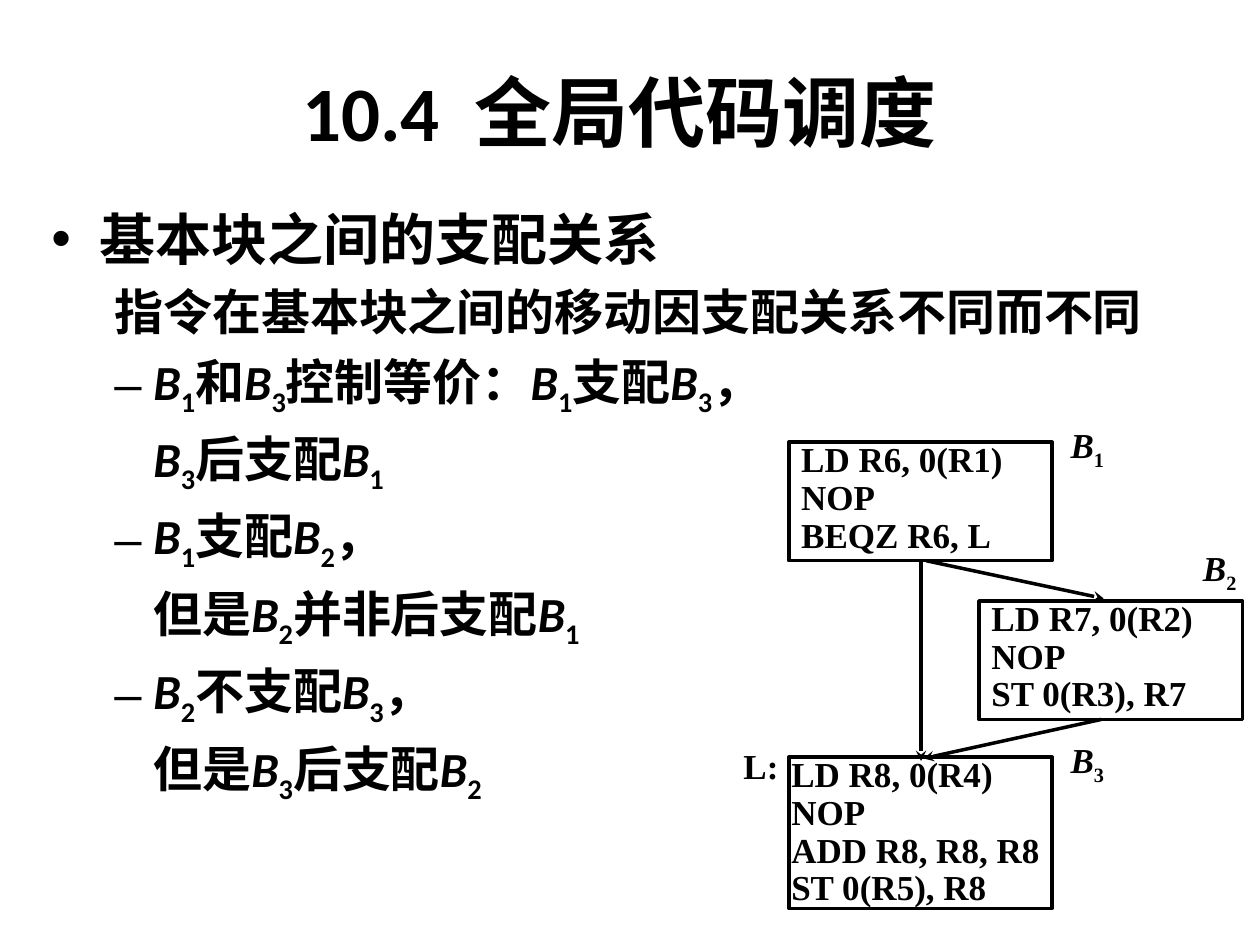
from lxml import etree
from pptx import Presentation
from pptx.dml.color import RGBColor
from pptx.enum.shapes import MSO_CONNECTOR, MSO_SHAPE
from pptx.enum.text import MSO_ANCHOR, PP_ALIGN
from pptx.oxml.ns import qn
from pptx.util import Inches, Pt

BLACK = RGBColor(0x00, 0x00, 0x00)
RECTANGLE = MSO_SHAPE.RECTANGLE
STRAIGHT = MSO_CONNECTOR.STRAIGHT
TOP, MIDDLE = MSO_ANCHOR.TOP, MSO_ANCHOR.MIDDLE
CENTER, JUSTIFY = PP_ALIGN.CENTER, PP_ALIGN.JUSTIFY
SANS, SERIF, CJK = "Calibri", "Times New Roman", "Noto Sans CJK SC"
CODE_SIZE = 20
BLOCK_WIDTH = 2.09


class SlideBuilder:
    """Holds the style and the current page."""

    def __init__(self, page):
        self.page = page

    def span(self, para, text, size, font=SANS, italic=False, subscript=False):
        span = para.add_run()
        span.text = text
        span.font.name = font
        span.font.size = Pt(size)
        span.font.bold = True
        span.font.italic = italic
        span.font.color.rgb = BLACK
        properties = span._r.get_or_add_rPr()
        etree.SubElement(properties, qn("a:ea")).set("typeface", font)
        if subscript:
            properties.set("baseline", "-25000")

    def block_text(self, para, text, size, font=SANS):
        """Write text in which each B is followed by its one-digit index."""
        start, *parts = text.split("B")
        if start:
            self.span(para, start, size, font)
        for part in parts:
            self.span(para, "B", size, font, italic=True)
            self.span(para, part[0], size, font, subscript=True)
            if part[1:]:
                self.span(para, part[1:], size, font)

    def frame(self, shape, insets=(0.1, 0.05, 0.1, 0.05), anchor=TOP):
        frame = shape.text_frame
        frame.word_wrap = True
        frame.vertical_anchor = anchor
        (frame.margin_left, frame.margin_top,
         frame.margin_right, frame.margin_bottom) = map(Inches, insets)
        return frame

    def text_box(self, left, top, width, height, **style):
        box = self.page.shapes.add_textbox(
            Inches(left), Inches(top), Inches(width), Inches(height))
        return self.frame(box, **style)

    def paragraph(self, frame, first, margin=0.0, hanging=0.0, bullet=None):
        para = frame.paragraphs[0] if first else frame.add_paragraph()
        para.alignment = JUSTIFY
        properties = para._p.get_or_add_pPr()
        properties.set("marL", str(Inches(margin)))
        properties.set("indent", str(-Inches(hanging)))
        if bullet:
            face = etree.SubElement(properties, qn("a:buFont"))
            face.set("typeface", "Arial")
            etree.SubElement(properties, qn("a:buChar")).set("char", bullet)
        return para

    def code_block(self, left, top, height, lines, insets):
        box = self.page.shapes.add_shape(
            RECTANGLE, Inches(left), Inches(top), Inches(BLOCK_WIDTH), Inches(height))
        box.shadow.inherit = False
        box.fill.background()
        box.line.color.rgb = BLACK
        box.line.width = Pt(2)
        frame = self.frame(box, insets)
        for index, line in enumerate(lines):
            para = self.paragraph(frame, index == 0)
            para.line_spacing = 0.9
            self.span(para, line, CODE_SIZE, SERIF)

    def arrow(self, x1, y1, x2, y2):
        line = self.page.shapes.add_connector(
            STRAIGHT, Inches(x1), Inches(y1), Inches(x2), Inches(y2))
        line.line.color.rgb = BLACK
        line.line.width = Pt(2)
        etree.SubElement(line.line._get_or_add_ln(), qn("a:tailEnd")).set("type", "stealth")
        etree.SubElement(line._element.spPr, qn("a:effectLst"))

    def block_label(self, left, top, text):
        para = self.text_box(left, top, 0.64, 0.52).paragraphs[0]
        para.alignment = CENTER
        self.block_text(para, text, CODE_SIZE, SERIF)


def main():
    deck = Presentation()
    deck.slide_width, deck.slide_height = Inches(10), Inches(7.5)
    builder = SlideBuilder(deck.slides.add_slide(deck.slide_layouts[6]))

    # Title
    title = builder.text_box(0.42, 0.25, 9, 1.25, anchor=MIDDLE).paragraphs[0]
    title.alignment = CENTER
    builder.span(title, "10.4  全局代码调度", 44)

    # Dominance relations
    body = builder.text_box(0.31, 1.57, 9.37, 5.51)
    heading = builder.paragraph(body, True, 0.38, 0.38, "•")
    builder.span(heading, "基本块之间的", 32)
    builder.span(heading, "支配关系", 32, CJK)
    # Each entry: left margin, hanging indent, bullet, text
    plain, dashed, continued = (0.81, 0.31, None), (0.81, 0.31, "–"), (0.81, 0, None)
    for layout, text in [
        (plain, "指令在基本块之间的移动因支配关系不同而不同"),
        (dashed, "B1和B3控制等价：B1支配B3，"),
        (continued, "B3后支配B1"),
        (dashed, "B1支配B2，"),
        (continued, "但是B2并非后支配B1"),
        (dashed, "B2不支配B3，"),
        (continued, "但是B3后支配B2"),
    ]:
        para = builder.paragraph(body, False, *layout)
        para.space_before = Pt(6)
        builder.block_text(para, text, 28)

    # Basic blocks
    wide, narrow = (0.1, 0, 0.06, 0.03), (0.02, 0, 0.02, 0.03)
    for block in [
        (6.26, 3.51, 0.94, ["LD R6, 0(R1)", "NOP", "BEQZ R6, L"], wide),
        (7.77, 4.77, 0.94, ["LD R7, 0(R2)", "NOP", "ST 0(R3), R7"], wide),
        (6.26, 6.01, 1.2,
         ["LD R8, 0(R4)", "NOP", "ADD R8, R8, R8", "ST 0(R5), R8"], narrow),
    ]:
        builder.code_block(*block)

    # Control flow
    for ends in [(7.35, 4.45, 8.76, 4.75), (8.74, 5.71, 7.33, 6.02),
                 (7.31, 4.45, 7.31, 6.04)]:
        builder.arrow(*ends)

    # Block names and the jump target
    for label in [(9.36, 4.29, "B2"), (8.31, 3.31, "B1"), (8.31, 5.81, "B3")]:
        builder.block_label(*label)
    target = builder.text_box(5.84, 5.88, 0.45, 0.42, insets=(0.06, 0.03, 0.06, 0.03))
    builder.span(builder.paragraph(target, True), "L:", CODE_SIZE, SERIF)

    deck.save("out.pptx")


if __name__ == "__main__":
    main()
